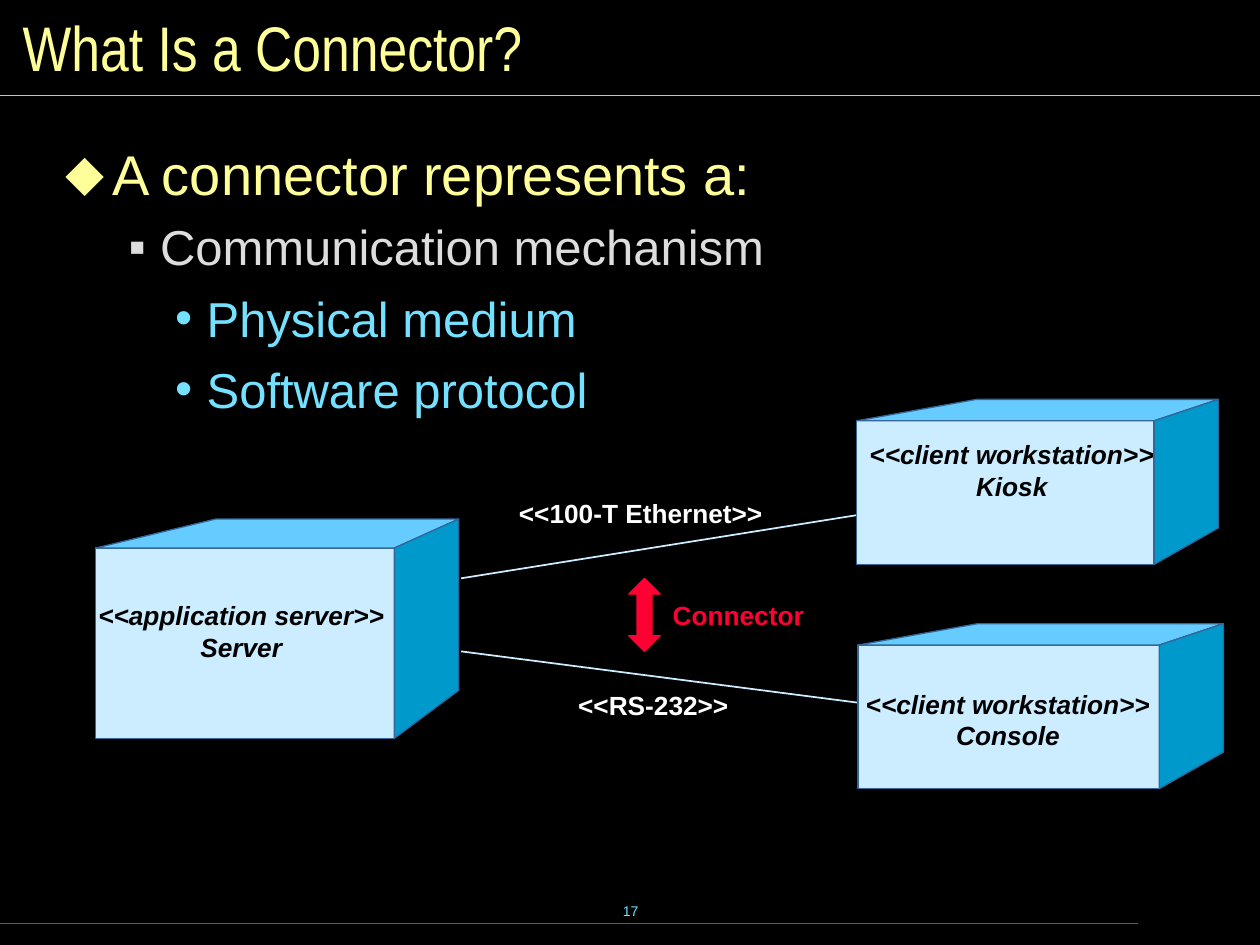
from lxml.etree import SubElement
from pptx import Presentation
from pptx.dml.color import RGBColor
from pptx.enum.shapes import MSO_CONNECTOR, MSO_SHAPE
from pptx.enum.text import MSO_ANCHOR as Anchor, MSO_AUTO_SIZE as AutoSize, PP_ALIGN as Align
from pptx.oxml.ns import qn
from pptx.util import Inches, Pt

BLACK = RGBColor(0x00, 0x00, 0x00)
WHITE = RGBColor(0xFF, 0xFF, 0xFF)
YELLOW = RGBColor(0xFF, 0xFF, 0x99)
GREY = RGBColor(0xDD, 0xDD, 0xDD)
CYAN = RGBColor(0x73, 0xE1, 0xFF)
TEAL = RGBColor(0x00, 0x7E, 0x9F)
RED = RGBColor(0xFF, 0x00, 0x33)
FRONT = RGBColor(0xCC, 0xEC, 0xFF)
TOP = RGBColor(0x66, 0xCC, 0xFF)
SIDE = RGBColor(0x00, 0x99, 0xCC)
EDGE = RGBColor(0x33, 0x66, 0x99)

# Content
TITLE = "What Is a Connector?"
PAGE_NUMBER = "17"
BULLETS = [  # level, text
    (0, "A connector represents a:"),
    (1, "Communication mechanism"),
    (2, "Physical medium"),
    (2, "Software protocol"),
]
LEVELS = [
    dict(bullet="⬥", indent=0.37, hang=0.37, size=32, color=YELLOW, spacing=0.8, before=0),
    dict(bullet="▪", indent=0.75, hang=0.25, size=28, color=GREY, spacing=0.87, before=10.5),
    dict(bullet="•", indent=1.12, hang=0.25, size=28, color=CYAN, spacing=1.0, before=7),
]
SERVER = dict(front=(0.76, 4.35, 2.37, 1.51), rise=0.23, back_rise=0.38)
CLIENTS = [
    dict(front=(6.81, 5.12, 2.39, 1.14), rise=0.17, back_rise=0.29),
    dict(front=(6.8, 3.34, 2.36, 1.14), rise=0.17, back_rise=0.29),
]
NODE_LABELS = [  # place, lines
    ((0.78, 4.76, 2.27, 0.5), ["<<application server>>", "Server"]),
    ((6.87, 5.46, 2.26, 0.5), ["<<client workstation>>", "Console"]),
    ((6.9, 3.48, 2.26, 0.5), ["<<client workstation>>", "Kiosk"]),
]
LINK_LABELS = [  # place, text, colour
    ((4.49, 5.42, 1.52, 0.35), "<<RS-232>>", WHITE),
    ((4.02, 3.9, 2.39, 0.35), "<<100-T Ethernet>>", WHITE),
    ((5.24, 4.71, 1.42, 0.35), "Connector", RED),
]
RULES = [((0, 7.33), (9.03, 7.33), TEAL), ((0, 0.76), (10, 0.76), CYAN)]
LINKS = [((6.91, 5.59), (3.66, 5.17)), ((3.66, 4.59), (6.98, 4.06))]
SKEW_LEFT, SKEW_RIGHT = 0.95, 0.51


def inches(values):
    return [Inches(value) for value in values]


def place(shape, left, top, width, height):
    shape.left, shape.top, shape.width, shape.height = inches((left, top, width, height))


def write(para, text, size=15, color=BLACK, font="Arial", bold=False, italic=False,
          align=Align.LEFT):
    para.alignment = align
    span = para.add_run()
    span.text = text
    span.font.name, span.font.size = font, Pt(size)
    span.font.bold, span.font.italic = bold, italic
    span.font.color.rgb = color


def add_label(page, at, lines, margins=(0.1, 0.05), wrap=True, anchor=Anchor.TOP, **style):
    frame = page.shapes.add_textbox(*inches(at)).text_frame
    frame.word_wrap, frame.vertical_anchor = wrap, anchor
    frame.margin_left = frame.margin_right = Inches(margins[0])
    frame.margin_top = frame.margin_bottom = Inches(margins[1])
    for index, line in enumerate(lines):
        para = frame.add_paragraph() if index else frame.paragraphs[0]
        write(para, line, **style)


def add_line(page, start, end, color, width):
    line = page.shapes.add_connector(MSO_CONNECTOR.STRAIGHT, *inches(start + end))
    line.line.color.rgb, line.line.width = color, Pt(width)
    SubElement(line._element.spPr, qn("a:effectLst"))


def paint(shape, fill, edge, width):
    shape.shadow.inherit = False
    shape.fill.solid()
    shape.fill.fore_color.rgb = fill
    shape.line.color.rgb, shape.line.width = edge, Pt(width)


def add_box(page, front, rise, back_rise):
    """Draw a node as a front, a top and a right-hand face."""
    left, top, width, height = front
    right, bottom, back = left + width, top + height, left + width + SKEW_RIGHT
    group = page.shapes.add_group_shape().shapes
    face = group.add_shape(MSO_SHAPE.RECTANGLE, *inches(front))
    paint(face, FRONT, EDGE, 0)
    faces = [
        (TOP, [(left, top), (left + SKEW_LEFT, top - rise), (back, top - rise), (right, top)]),
        (SIDE, [(right, top), (back, top - rise), (back, bottom - back_rise), (right, bottom)]),
    ]
    for color, corners in faces:
        first, *others = [inches(corner) for corner in corners]
        outline = group.build_freeform(*first)
        outline.add_line_segments(others, close=True)
        paint(outline.convert_to_shape(), color, EDGE, 0)


def add_bullet(para, level, text):
    look = LEVELS[level]
    para.level = level
    para.line_spacing, para.space_before = look["spacing"], Pt(look["before"])
    props = para._p.get_or_add_pPr()
    props.set("marL", str(Inches(look["indent"])))
    props.set("indent", str(-Inches(look["hang"])))
    tint = SubElement(props, qn("a:buClr"))
    SubElement(tint, qn("a:srgbClr"), val=str(look["color"]))
    SubElement(props, qn("a:buFont"), typeface="Arial")
    SubElement(props, qn("a:buChar"), char=look["bullet"])
    write(para, text, size=look["size"], color=look["color"])


def main():
    deck = Presentation()
    deck.slide_width, deck.slide_height = Inches(10), Inches(7.5)
    page = deck.slides.add_slide(deck.slide_layouts[1])
    page.background.fill.solid()
    page.background.fill.fore_color.rgb = BLACK

    # Title and bullets
    title, body = page.shapes.title, page.placeholders[1]
    place(title, 0.08, 0.08, 9.84, 0.58)
    title.text_frame.auto_size = AutoSize.NONE
    title.text_frame.vertical_anchor = Anchor.MIDDLE
    write(title.text_frame.paragraphs[0], TITLE, size=36, color=YELLOW, font="Arial Narrow")
    place(body, 0.4, 1.15, 9.29, 5.52)
    frame = body.text_frame
    frame.auto_size = AutoSize.NONE
    frame.margin_left = frame.margin_right = Inches(0.12)
    frame.margin_top = frame.margin_bottom = Inches(0.06)
    for index, (level, text) in enumerate(BULLETS):
        para = frame.add_paragraph() if index else frame.paragraphs[0]
        add_bullet(para, level, text)

    # Rules and page number
    for start, end, color in RULES:
        add_line(page, start, end, color, 0.75)
    add_label(page, (3.42, 6.98, 3.17, 0.5), [PAGE_NUMBER], wrap=False,
              anchor=Anchor.MIDDLE, size=8, color=CYAN, align=Align.CENTER)

    # Links run behind the client boxes
    add_box(page, **SERVER)
    for start, end in LINKS:
        add_line(page, start, end, FRONT, 1)
    for client in CLIENTS:
        add_box(page, **client)

    # Labels and the arrow between the links
    for at, text, color in LINK_LABELS:
        add_label(page, at, [text], color=color, bold=True)
    for at, lines in NODE_LABELS:
        add_label(page, at, lines, margins=(0, 0), wrap=False, bold=True, italic=True,
                  align=Align.CENTER)
    arrow = page.shapes.add_shape(MSO_SHAPE.UP_DOWN_ARROW, *inches((4.99, 4.59, 0.25, 0.58)))
    arrow.adjustments[0], arrow.adjustments[1] = 0.5, 0.47
    paint(arrow, RED, RED, 0.75)

    deck.save("out.pptx")


if __name__ == "__main__":
    main()
